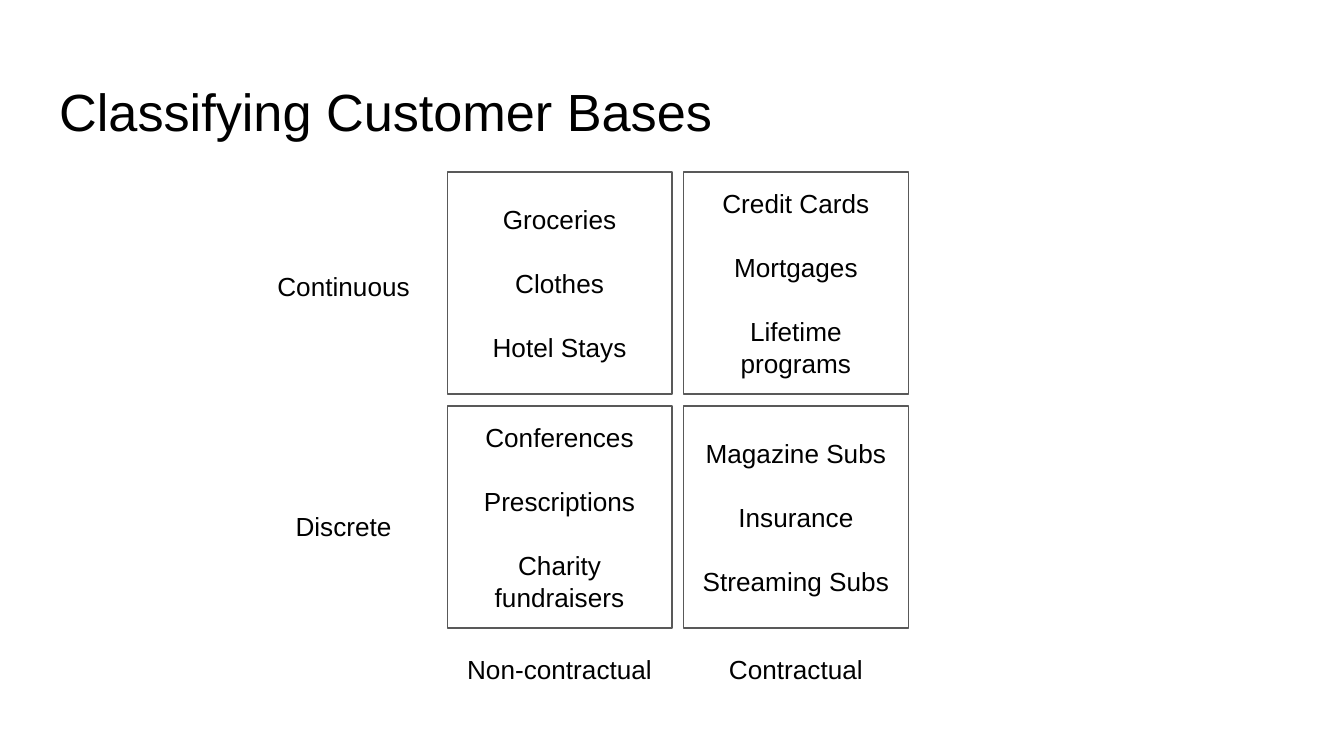
from pptx import Presentation
from pptx.dml.color import RGBColor
from pptx.enum.shapes import MSO_SHAPE
from pptx.enum.text import MSO_ANCHOR, PP_ALIGN
from pptx.util import Pt

RECTANGLE = MSO_SHAPE.RECTANGLE
TOP, MIDDLE = MSO_ANCHOR.TOP, MSO_ANCHOR.MIDDLE
LEFT, CENTER = PP_ALIGN.LEFT, PP_ALIGN.CENTER

BLACK = RGBColor(0x00, 0x00, 0x00)
GRAY = RGBColor(0x59, 0x59, 0x59)
FONT = "Arial"
INSET = 7.2
ITEM_GAP = 17.5

COLUMNS = ["Non-contractual", "Contractual"]
ROWS = [
    ("Continuous", [["Groceries", "Clothes", "Hotel Stays"],
                    ["Credit Cards", "Mortgages", "Lifetime programs"]]),
    ("Discrete", [["Conferences", "Prescriptions", "Charity fundraisers"],
                  ["Magazine Subs", "Insurance", "Streaming Subs"]]),
]


def write(shape, lines, size=14, align=CENTER, anchor=TOP):
    frame = shape.text_frame
    frame.word_wrap = True
    frame.vertical_anchor = anchor
    frame.margin_left = frame.margin_right = Pt(INSET)
    frame.margin_top = frame.margin_bottom = Pt(INSET)
    frame.text = "\n".join(lines)
    for index, para in enumerate(frame.paragraphs):
        para.alignment = align
        para.space_before = Pt(ITEM_GAP if index else 0)
        for span in para.runs:
            span.font.size = Pt(size)
            span.font.name = FONT
            span.font.color.rgb = BLACK


def add_title(page, left, top, width, height):
    title = page.shapes.title
    title.left, title.top = Pt(left), Pt(top)
    title.width, title.height = Pt(width), Pt(height)
    write(title, ["Classifying Customer Bases"], size=28, align=LEFT)


def add_label(page, text, left, top, width, height):
    box = page.shapes.add_textbox(Pt(left), Pt(top), Pt(width), Pt(height))
    write(box, [text])


def add_cell(page, items, left, top, width, height):
    box = page.shapes.add_shape(RECTANGLE, Pt(left), Pt(top), Pt(width), Pt(height))
    box.shadow.inherit = False
    box.fill.background()
    box.line.color.rgb = GRAY
    box.line.width = Pt(0.75)
    write(box, items, anchor=MIDDLE)


def add_matrix(page, left, top, width, height):
    gap = 6.3
    cell_width = (width - gap) / 2
    cell_height = (height - gap) / 2
    # Rows of boxes, each with its label on the left
    for row, (label, cells) in enumerate(ROWS):
        y = top + row * (cell_height + gap)
        label_top = y + (45.5 if row == 0 else 48.5)
        add_label(page, label, left - 105, label_top, 99, 23)
        for column, items in enumerate(cells):
            x = left + column * (cell_width + gap)
            add_cell(page, items, x, y, cell_width, cell_height)
    # Column labels under the boxes
    for column, label in enumerate(COLUMNS):
        x = left + column * (cell_width + gap)
        add_label(page, label, x, top + height + gap, cell_width, 29.5)


def main():
    deck = Presentation()
    deck.slide_width, deck.slide_height = Pt(720), Pt(405)
    title_only = deck.slide_layouts[5]
    page = deck.slides.add_slide(title_only)
    add_title(page, 24.5, 35, 671, 45)
    add_matrix(page, 239.6, 92.2, 247, 244.3)
    deck.save("out.pptx")


if __name__ == "__main__":
    main()
